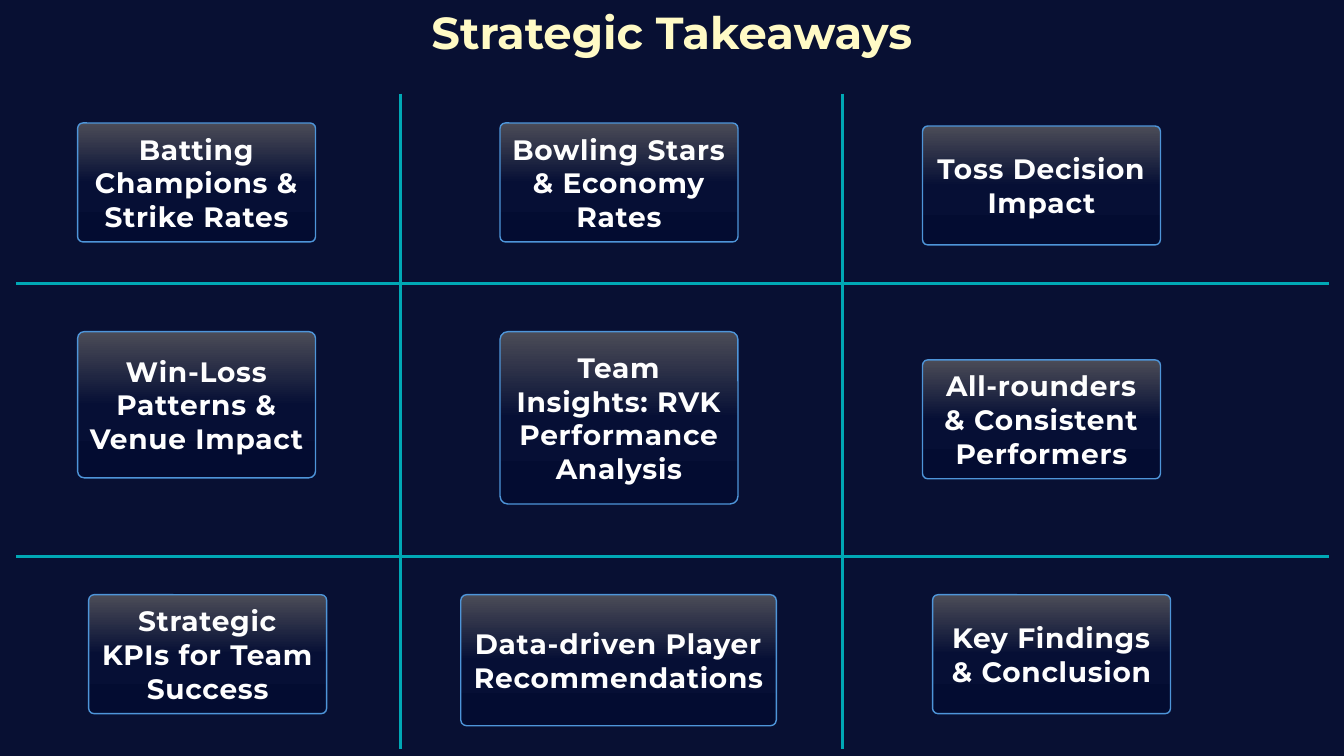
from copy import deepcopy

from lxml import etree
from pptx import Presentation
from pptx.dml.color import RGBColor
from pptx.enum import shapes, text
from pptx.oxml import ns
from pptx.util import Inches, Pt

# Content: label, left, top, width, height in inches
TITLE = "Strategic Takeaways"
CARD_W, CARD_H = 2.36, 1.18
CARDS = [
    ("Batting Champions & Strike Rates", 0.77, 1.22, CARD_W, CARD_H),
    ("Bowling Stars & Economy Rates", 4.96, 1.22, CARD_W, CARD_H),
    ("Toss Decision Impact", 9.15, 1.25, CARD_W, CARD_H),
    ("Win-Loss Patterns & Venue Impact", 0.77, 3.29, CARD_W, 1.45),
    ("Team Insights: RVK Performance Analysis", 4.96, 3.29, CARD_W, 1.71),
    ("All-rounders & Consistent Performers", 9.15, 3.57, CARD_W, CARD_H),
    ("Strategic KPIs for Team Success", 0.88, 5.9, CARD_W, CARD_H),
    ("Data-driven Player Recommendations", 4.57, 5.9, 3.13, 1.3),
    ("Key Findings & Conclusion", 9.25, 5.9, CARD_W, CARD_H),
]
ROW_LINES = (2.81, 5.52)
COLUMN_LINES = (3.97, 8.36)
GRID_LEFT, GRID_RIGHT, GRID_TOP, GRID_BOTTOM = 0.16, 13.18, 0.93, 7.43

# Style
FONT = "Montserrat"
NAVY = RGBColor(0x08, 0x10, 0x33)
CREAM = RGBColor(0xFF, 0xFA, 0xC5)
WHITE = RGBColor(0xFE, 0xFE, 0xFE)
BLUE = RGBColor(0x4E, 0x95, 0xD9)
TEAL = RGBColor(0x00, 0xA8, 0xB5)
TEXT_OUTLINE = RGBColor(0x19, 0x39, 0x8A)
CARD_GRADIENT = [
    (0, RGBColor(0x4B, 0x4C, 0x57)),
    (0.5, RGBColor(0x06, 0x0F, 0x35)),
    (1, RGBColor(0x03, 0x0C, 0x31)),
]


def write(frame, words, size, color):
    frame.word_wrap = True
    frame.text = words
    para = frame.paragraphs[0]
    para.alignment = text.PP_ALIGN.CENTER
    span = para.runs[0]
    span.font.name = FONT
    span.font.size = Pt(size)
    span.font.bold = True
    span.font.color.rgb = color
    return span


def fill_gradient(shape):
    shape.fill.gradient()
    shape.fill.gradient_angle = 270
    stop_list = shape.element.spPr.find(".//" + ns.qn("a:gsLst"))
    stop_list.append(deepcopy(stop_list[-1]))
    for stop, (position, color) in zip(shape.fill.gradient_stops, CARD_GRADIENT):
        stop.position = position
        stop.color.rgb = color


def outline_text(span):
    properties = span.font._element
    properties.set("spc", "50")
    outline = etree.Element(ns.qn("a:ln"), w=str(Pt(0.75)))
    solid = etree.SubElement(outline, ns.qn("a:solidFill"))
    etree.SubElement(solid, ns.qn("a:srgbClr"), val=str(TEXT_OUTLINE))
    properties.insert(0, outline)


def add_card(page, label, *place):
    card = page.shapes.add_shape(
        shapes.MSO_SHAPE.ROUNDED_RECTANGLE, *map(Inches, place))
    card.adjustments[0] = 0.045
    card.shadow.inherit = False
    fill_gradient(card)
    card.line.color.rgb = BLUE
    card.line.width = Pt(1)
    card.text_frame.vertical_anchor = text.MSO_ANCHOR.MIDDLE
    outline_text(write(card.text_frame, label, 20, WHITE))


def add_divider(page, *ends):
    divider = page.shapes.add_connector(
        shapes.MSO_CONNECTOR.STRAIGHT, *map(Inches, ends))
    divider.line.color.rgb = TEAL
    divider.line.width = Pt(2)
    etree.SubElement(divider.element.spPr, ns.qn("a:effectLst"))


def main():
    deck = Presentation()
    deck.slide_width, deck.slide_height = Inches(13.33), Inches(7.5)
    page = deck.slides.add_slide(deck.slide_layouts[6])
    page.background.fill.solid()
    page.background.fill.fore_color.rgb = NAVY

    # Title
    title = page.shapes.add_textbox(0, 0, deck.slide_width, Inches(0.64))
    write(title.text_frame, TITLE, 32, CREAM)
    title.text_frame.auto_size = text.MSO_AUTO_SIZE.SHAPE_TO_FIT_TEXT

    # Takeaway cards
    for card in CARDS:
        add_card(page, *card)

    # Grid lines
    for y in ROW_LINES:
        add_divider(page, GRID_LEFT, y, GRID_RIGHT, y)
    for x in COLUMN_LINES:
        add_divider(page, x, GRID_TOP, x, GRID_BOTTOM)

    deck.save("out.pptx")


if __name__ == "__main__":
    main()
